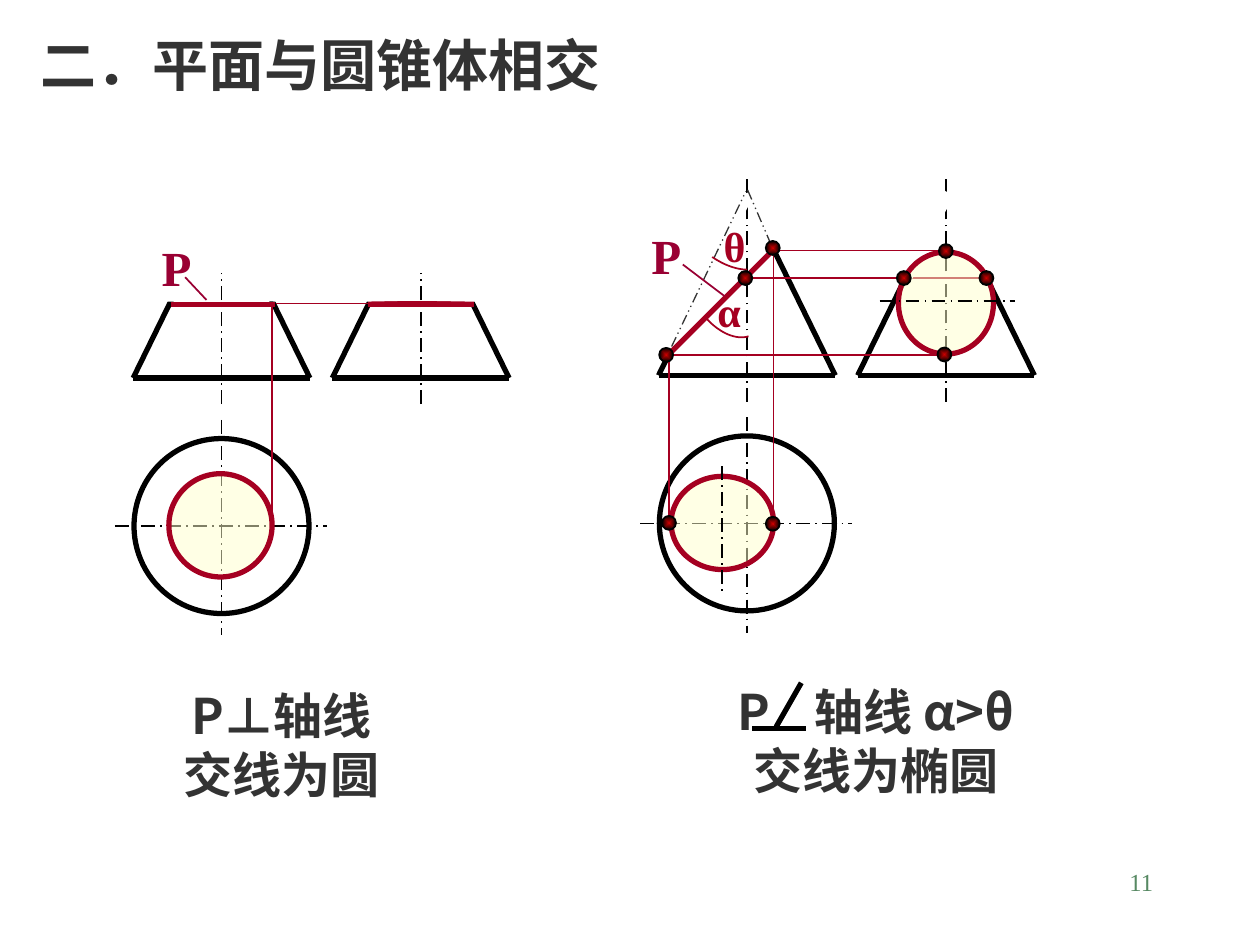
from dataclasses import dataclass

from lxml.etree import SubElement
from pptx import Presentation
from pptx.dml.color import RGBColor
from pptx.enum.dml import MSO_LINE
from pptx.enum.shapes import MSO_CONNECTOR, MSO_SHAPE
from pptx.enum.text import MSO_ANCHOR, MSO_AUTO_SIZE, PP_ALIGN
from pptx.oxml.ns import qn
from pptx.util import Pt

BLACK, WHITE, GREY = "000000", "FFFFFF", "333333"
RED, PLUM, CREAM, GREEN = "A50021", "990033", "FFFFCC", "578963"
SANS, SERIF = "Noto Sans CJK SC", "Times New Roman"


@dataclass(frozen=True)
class Stroke:
    color: str
    width: float
    dash: object = None


@dataclass(frozen=True)
class Label:
    lines: tuple
    box: tuple
    size: float
    font: str
    color: str
    bold: bool = True
    align: PP_ALIGN = PP_ALIGN.CENTER
    anchor: MSO_ANCHOR = MSO_ANCHOR.MIDDLE
    wrap: bool = False
    fill: str = ""
    line_spacing: object = None


OUTLINE = Stroke(BLACK, 3)
AXIS = Stroke(BLACK, 1, MSO_LINE.LONG_DASH_DOT)
HIDDEN = Stroke(GREY, 0.75, MSO_LINE.DASH_DOT_DOT)
CUT = Stroke(RED, 3)
PROJECTION = Stroke(RED, 1)
POINTER = Stroke(PLUM, 1)
ERASER = Stroke(WHITE, 6)


def rgb(color: str) -> RGBColor:
    return RGBColor.from_string(color)


def set_values(target, values: dict) -> None:
    for name, value in values.items():
        setattr(target, name, value)


def apply_stroke(line, stroke: Stroke) -> None:
    line.fill.solid()
    line.fill.fore_color.rgb = rgb(stroke.color)
    set_values(line, {"width": Pt(stroke.width), "dash_style": stroke.dash})


def apply_fill(shape, color: str, opacity: int = 100) -> None:
    shape.fill.solid()
    shape.fill.fore_color.rgb = rgb(color)
    if opacity < 100:
        color_element = shape._element.spPr.find(qn("a:solidFill"))[0]
        SubElement(color_element, qn("a:alpha"), val=str(opacity * 1000))


def draw_line(shapes, ends: tuple, stroke: Stroke) -> None:
    connector = shapes.add_connector(MSO_CONNECTOR.STRAIGHT, *map(Pt, ends))
    apply_stroke(connector.line, stroke)
    SubElement(connector._element.spPr, qn("a:effectLst"))


def draw_ellipse(shapes, box: tuple, stroke: Stroke, fill: str, opacity: int = 100):
    shape = shapes.add_shape(MSO_SHAPE.OVAL, *map(Pt, box))
    shape.shadow.inherit = False
    apply_fill(shape, fill, opacity)
    apply_stroke(shape.line, stroke)
    return shape


def draw_outline(shapes, points: list, stroke: Stroke, fill: str = "") -> None:
    corners = [(Pt(x), Pt(y)) for x, y in points]
    builder = shapes.build_freeform(*corners[0])
    builder.add_line_segments(corners[1:], close=bool(fill))
    shape = builder.convert_to_shape()
    shape.shadow.inherit = False
    apply_stroke(shape.line, stroke)
    if fill:
        apply_fill(shape, fill)
    else:
        shape.fill.background()


def draw_arc(shapes, controls: tuple, steps: int = 16) -> None:
    """Draw the cubic curve given by four control points."""
    points = []
    for step in range(steps + 1):
        t = step / steps
        weights = ((1 - t) ** 3, 3 * t * (1 - t) ** 2, 3 * t * t * (1 - t), t ** 3)
        points.append([sum(w * c for w, c in zip(weights, axis)) for axis in zip(*controls)])
    draw_outline(shapes, points, PROJECTION)


def draw_dot(shapes, center: tuple) -> None:
    x, y = center
    dot = draw_ellipse(shapes, (x - 4, y - 4, 8, 8), Stroke(BLACK, 1), RED)
    dot.fill.gradient()
    for stop, color in zip(dot.fill.gradient_stops, ("CC0000", BLACK)):
        stop.color.rgb = rgb(color)
    gradient = dot._element.spPr.find(qn("a:gradFill"))
    gradient.remove(gradient.find(qn("a:lin")))
    shading = SubElement(gradient, qn("a:path"), path="shape")
    SubElement(shading, qn("a:fillToRect"), {side: "50000" for side in "ltrb"})


def write_label(shape, label: Label) -> None:
    frame = shape.text_frame
    set_values(frame, {"word_wrap": label.wrap, "vertical_anchor": label.anchor,
                       "auto_size": MSO_AUTO_SIZE.NONE})
    for index, runs in enumerate(label.lines):
        paragraph = frame.paragraphs[0] if index == 0 else frame.add_paragraph()
        set_values(paragraph, {"alignment": label.align, "line_spacing": label.line_spacing})
        for text in runs:
            run = paragraph.add_run()
            run.text = text
            set_values(run.font, {"size": Pt(label.size), "bold": label.bold, "name": label.font})
            run.font.color.rgb = rgb(label.color)
            properties = run.font._element
            SubElement(properties, qn("a:ea"), typeface=label.font)
            if text == " ":
                properties.set("spc", "1900")  # widens the gap for the drawn angle sign


def add_label(shapes, label: Label) -> None:
    shape = shapes.add_textbox(*map(Pt, label.box))
    if label.fill:
        apply_fill(shape, label.fill)
    write_label(shape, label)


def caption(lines: tuple, box: tuple) -> Label:
    return Label(lines, box, 28, SANS, GREY, wrap=True, fill=WHITE, line_spacing=Pt(33.6))


def symbol(text: str, box: tuple, size: float, color: str) -> Label:
    return Label(((text,),), box, size, SERIF, color)


def draw_cone_views(slide, axis: float, base: float) -> None:
    """Draw the top, front and side views of a whole cone."""
    shapes = slide.shapes.add_group_shape().shapes
    middle = base + 84.6
    draw_ellipse(shapes, (axis - 50, middle - 50, 100, 100), OUTLINE, WHITE)
    draw_line(shapes, (axis - 61, middle, axis + 60, middle), AXIS)
    draw_line(shapes, (axis, base + 24, axis, base + 147), AXIS)
    for x in (axis, axis + 113.8):
        apex = base - 103
        draw_line(shapes, (x, base + 15, x, base - 114.5), AXIS)
        draw_line(shapes, (x - 50.5, base, x + 50.5, base), OUTLINE)
        draw_line(shapes, (x + 50.5, base, x, apex), OUTLINE)
        draw_line(shapes, (x, apex, x - 50.5, base), OUTLINE)


def cover_cone_top(shapes, left: float, top: float = 100.1) -> None:
    notched = [(0, 72), (32.4, 71.4), (32.4, 55.4), (46.8, 55.4), (45.4, 66),
               (48.2, 71.4), (82.8, 72), (82.8, 0), (0, 0)]
    draw_outline(shapes, [(left + x, top + y) for x, y in notched], Stroke(WHITE, 1), WHITE)


def draw_circle_case(slide) -> None:
    shapes = slide.shapes
    draw_cone_views(slide, 126.6, 216)
    draw_line(shapes, (98, 174.2, 157, 174.2), CUT)
    draw_ellipse(shapes, (96.5, 270.7, 59, 59), CUT, CREAM, 50)
    draw_line(shapes, (155.5, 173.5, 155.5, 299.5), PROJECTION)
    cover_cone_top(shapes, 88.6)
    draw_line(shapes, (157.7, 173.5, 211, 173.5), PROJECTION)
    draw_line(shapes, (210.2, 173.7, 270.7, 173.7), CUT)
    cover_cone_top(shapes, 198)
    add_label(shapes, symbol("P", (85, 131.8, 31.7, 41), 28, PLUM))
    draw_line(shapes, (118, 171.4, 105.8, 158.4), POINTER)
    add_label(shapes, caption((("P⊥轴线",), ("交线为圆",)), (69.8, 388.1, 182.2, 74.2)))


def draw_ellipse_case(slide) -> None:
    shapes = slide.shapes
    draw_cone_views(slide, 426.8, 214.5)
    for ends, stroke in (((383, 200.2, 427.7, 110.9), ERASER), ((440, 141, 427, 110.2), ERASER),
                         ((440.6, 139.7, 427, 108), HIDDEN), ((383.8, 198, 426.2, 109.4), HIDDEN),
                         ((380.9, 203.8, 441.4, 143.3), CUT)):
        draw_line(shapes, ends, stroke)
    add_label(shapes, symbol("α", (401.8, 159.8, 29.5, 36), 24, RED))
    draw_arc(shapes, ((403.9, 182.2), (411.1, 190.1), (420.5, 194.4), (427.7, 192.2)))
    add_label(shapes, symbol("θ", (406.1, 122.4, 27.4, 36), 24, RED))
    draw_arc(shapes, ((407, 146.9), (413.3, 151.2), (420.5, 154.1), (427, 154.1)))
    for x, y in ((442, 143.3), (382.1, 202.3)):
        draw_line(shapes, (x, y, x, 298.8), PROJECTION)
    draw_ellipse(shapes, (383.5, 272.2, 58.6, 53.3), CUT, CREAM, 50)
    draw_line(shapes, (380.2, 203, 539.3, 203), PROJECTION)
    draw_line(shapes, (425.5, 158.9, 563.8, 158.9), PROJECTION)
    draw_line(shapes, (542.2, 110.2, 518.4, 158.4), ERASER)
    draw_line(shapes, (540.7, 112.3, 563.8, 159.1), ERASER)
    draw_ellipse(shapes, (513.4, 144, 54.3, 58.3), CUT, CREAM, 50)
    draw_line(shapes, (442.8, 143.2, 539.3, 143.2), PROJECTION)
    add_label(shapes, symbol("P", (365, 125.3, 31.7, 41), 28, PLUM))
    draw_line(shapes, (390.2, 151.2, 414, 169.2), POINTER)
    add_label(shapes, caption((("P", " ", "轴线 α>θ"), ("交线为椭圆",)),
                              (379.4, 385.9, 242.6, 74.2)))
    angle_sign = shapes.add_group_shape().shapes
    draw_line(angle_sign, (457.9, 390.2, 443.5, 415.4), OUTLINE)
    draw_line(angle_sign, (429.8, 416.3, 460.8, 416.3), OUTLINE)
    for center in ((441.6, 141.7), (441.6, 299.3), (380.7, 202.8), (382.3, 298.8), (540.5, 143.5),
                   (425.9, 158.9), (563.7, 158.9), (516.5, 158.9), (539.7, 202.6)):
        draw_dot(shapes, center)
    draw_line(shapes, (412.6, 266.4, 412.6, 337.7), AXIS)
    draw_line(shapes, (502.6, 172.2, 580.3, 172.2), AXIS)


def main() -> None:
    presentation = Presentation()
    set_values(presentation, {"slide_width": Pt(720), "slide_height": Pt(540)})
    slide = presentation.slides.add_slide(presentation.slide_layouts[5])
    heading = Label((("二．平面与圆锥体相交",),), (15.8, 13.7, 691.2, 45.4), 32, SANS, GREY,
                    align=PP_ALIGN.LEFT, wrap=True)
    title = slide.shapes.title
    set_values(title, dict(zip(("left", "top", "width", "height"), map(Pt, heading.box))))
    write_label(title, heading)
    add_label(slide.shapes, Label((("11",),), (516.2, 491.8, 149.8, 36), 14, SERIF, GREEN, False,
                                  PP_ALIGN.RIGHT, MSO_ANCHOR.TOP, True))
    draw_circle_case(slide)
    draw_ellipse_case(slide)
    presentation.save("out.pptx")


if __name__ == "__main__":
    main()
